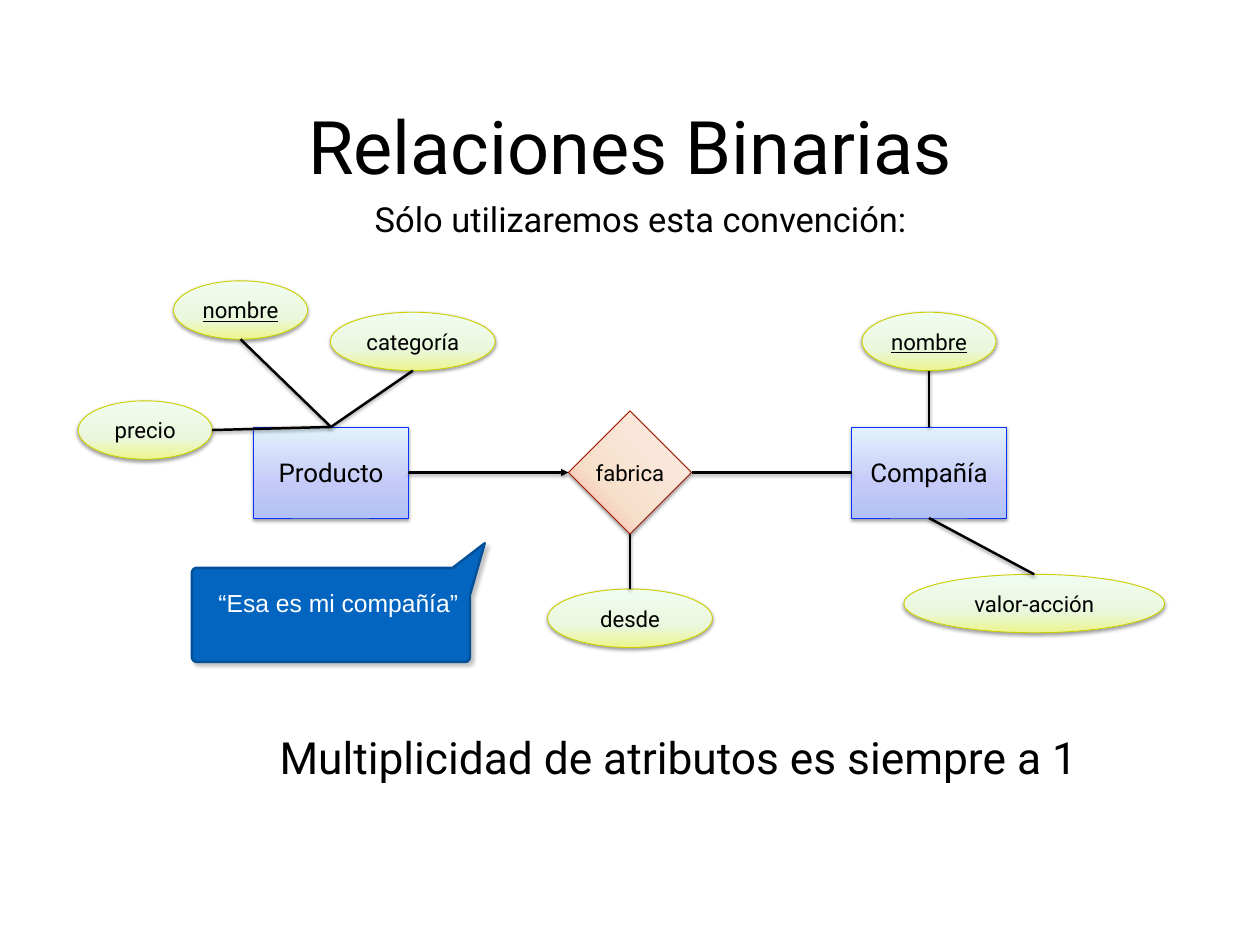
from dataclasses import dataclass
from math import cos, radians, sin

from lxml.etree import SubElement
from pptx import Presentation
from pptx.dml.color import RGBColor
from pptx.enum.shapes import MSO_CONNECTOR, MSO_SHAPE
from pptx.enum.text import MSO_ANCHOR, MSO_AUTO_SIZE, PP_ALIGN
from pptx.oxml.ns import qn
from pptx.util import Pt

TOP, LEFT, BOTTOM, RIGHT = range(4)


@dataclass(frozen=True)
class Style:
    """Gradient stops as (percent, colour), its angle, outline and text size."""
    stops: tuple
    angle: int
    line: str
    size: int


@dataclass(frozen=True)
class Theme:
    font: str = "Roboto"
    callout_font: str = "Arial"
    ink: str = "000000"
    callout_ink: str = "FFFFFF"
    callout_fill: str = "0365C0"
    callout_line: str = "025099"
    title: int = 60
    subtitle: int = 28
    footer: int = 36
    callout: int = 20
    thin: float = 0.75
    thick: float = 2
    # opacity %, blur, distance, direction
    shadow: tuple = (38, 3, 1.6, 90)
    callout_shadow: tuple = (24, 3, 3.3, 44)
    entity: Style = Style(((0, "B2C2F5"), (36, "C4C9F7"), (100, "E1F2FC")), 90, "0433FF", 21)
    relation: Style = Style(((0, "F5A09A"), (35, "F7E0CB"), (100, "FFEBE7")), 45, "A01D04", 18)
    attribute: Style = Style(((0, "ECF58E"), (36, "EAF7DC"), (100, "F1FCF1")), 90, "CCCF00", 18)


THEME = Theme()


def rgb(color):
    return RGBColor.from_string(color)


def write(s, text, size, font=THEME.font, color=THEME.ink, inset=0, underline=None, wrap=True):
    tf = s.text_frame
    tf.word_wrap = wrap
    tf.vertical_anchor = MSO_ANCHOR.MIDDLE
    tf.margin_left = tf.margin_right = tf.margin_top = tf.margin_bottom = Pt(inset)
    p = tf.paragraphs[0]
    p.text = text
    p.alignment = PP_ALIGN.CENTER
    p.font.name = font
    p.font.size = Pt(size)
    p.font.color.rgb = rgb(color)
    p.font.underline = underline


def set_line(s, color, width):
    s.line.color.rgb = rgb(color)
    s.line.width = Pt(width)


def add_shadow(s, shadow=THEME.shadow):
    """Append the effect list; call it after fill and line are set."""
    alpha, blur, dist, angle = shadow
    effects = SubElement(s._element.spPr, qn("a:effectLst"))
    outer = SubElement(effects, qn("a:outerShdw"), blurRad=str(Pt(blur)), dist=str(Pt(dist)),
                       dir=str(angle * 60000), rotWithShape="0")
    color = SubElement(outer, qn("a:srgbClr"), val=THEME.ink)
    SubElement(color, qn("a:alpha"), val=str(alpha * 1000))


def set_gradient(s, stops, angle):
    s.fill.gradient()
    s.fill.gradient_angle = angle
    stop_list = s._element.spPr.find(qn("a:gradFill")).find(qn("a:gsLst"))
    for old in list(stop_list):
        stop_list.remove(old)
    for percent, color in stops:
        stop = SubElement(stop_list, qn("a:gs"), pos=str(percent * 1000))
        SubElement(stop, qn("a:srgbClr"), val=color)


def add_node(slide, kind, style, text, cx, cy, width, height, key=None):
    """Add a one-line diagram node centred on (cx, cy); key underlines its text."""
    s = slide.shapes.add_shape(kind, Pt(cx - width / 2), Pt(cy - height / 2),
                               Pt(width), Pt(height))
    set_gradient(s, style.stops, style.angle)
    set_line(s, style.line, THEME.thin)
    add_shadow(s)
    write(s, text, style.size, underline=key, wrap=False)
    return s


def add_link(slide, node, side, x, y, arrow=False, target=None):
    """Draw a line from a side of node to (x, y), or to the left of target."""
    s = slide.shapes.add_connector(MSO_CONNECTOR.STRAIGHT, Pt(x), Pt(y), Pt(x), Pt(y))
    s.begin_connect(node, side)
    if target is not None:
        s.end_connect(target, LEFT)
    set_line(s, THEME.ink, THEME.thick)
    if arrow:
        SubElement(s.line._get_or_add_ln(), qn("a:tailEnd"), type="triangle")
    add_shadow(s)


def add_attribute(slide, owner, side, text, cx, cy, width, end=TOP, key=None):
    """Add an attribute whose own side `end` is linked to a side of its owner."""
    height = 47.5
    dx, dy = {TOP: (0, -0.5), BOTTOM: (0, 0.5), RIGHT: (0.5, 0)}[end]
    add_node(slide, MSO_SHAPE.OVAL, THEME.attribute, text, cx, cy, width, height, key)
    add_link(slide, owner, side, cx + dx * width, cy + dy * height)


def draw_diagram(slide, left, top, width, height):
    cx, cy = left + width / 2, top + height / 2
    reach, entity_size = 243, (125.5, 74)
    producto, compania = [
        add_node(slide, MSO_SHAPE.RECTANGLE, THEME.entity, text, cx + dx, cy, *entity_size)
        for text, dx in (("Producto", -reach), ("Compañía", reach))]
    fabrica = add_node(slide, MSO_SHAPE.DIAMOND, THEME.relation, "fabrica", cx, cy, 100, 100)
    add_link(slide, producto, RIGHT, cx, cy, arrow=True, target=fabrica)
    add_link(slide, fabrica, RIGHT, cx, cy, target=compania)

    short, medium, long = 109, 134, 212
    for owner, side, text, dx, dy, size, end, key in (
            (producto, TOP, "nombre", -316.5, -132, short, BOTTOM, True),
            (producto, TOP, "precio", -394, -34.5, short, RIGHT, None),
            (producto, TOP, "categoría", -176.5, -106.5, medium, BOTTOM, None),
            (compania, TOP, "nombre", reach, -106.5, short, BOTTOM, True),
            (compania, BOTTOM, "valor-acción", 328.5, 106.5, long, TOP, None),
            (fabrica, BOTTOM, "desde", 0, 118.5, medium, TOP, None)):
        add_attribute(slide, owner, side, text, cx + dx, cy + dy, size, end, key)


def draw_callout(slide, left, top, width, height):
    """Draw a rounded speech box whose pointer ends at the box's top right."""
    radius, steps = 4, 4
    right, bottom, body_top = left + width - 12, top + height, top + 20

    def corner(x, y, start):
        angles = [radians(start - 90 * i / steps) for i in range(steps + 1)]
        return [(x + radius * cos(a), y + radius * sin(a)) for a in angles]

    outline = [(left + width, top), (right - 14, body_top)]
    outline += corner(left + radius, body_top + radius, 270)
    outline += corner(left + radius, bottom - radius, 180)
    outline += corner(right - radius, bottom - radius, 90)
    outline.append((right, body_top + 22))
    points = [(Pt(x), Pt(y)) for x, y in outline]
    builder = slide.shapes.build_freeform(*points[0])
    builder.add_line_segments(points[1:], close=True)
    s = builder.convert_to_shape()
    s.fill.solid()
    s.fill.fore_color.rgb = rgb(THEME.callout_fill)
    set_line(s, THEME.callout_line, THEME.thick)
    add_shadow(s, THEME.callout_shadow)
    write(s, "“Esa es mi compañía”", THEME.callout, THEME.callout_font, THEME.callout_ink)


def draw_heading(slide, text, size, left, top, width, height):
    s = slide.shapes.add_textbox(Pt(left), Pt(top), Pt(width), Pt(height))
    write(s, text, size, inset=4.3)
    s.text_frame.auto_size = MSO_AUTO_SIZE.SHAPE_TO_FIT_TEXT


def main():
    prs = Presentation()
    prs.slide_width, prs.slide_height = Pt(1024), Pt(768)
    slide = prs.slides.add_slide(prs.slide_layouts[6])
    draw_heading(slide, "Relaciones Binarias", THEME.title, 154, 78.5, 716, 78.5)
    draw_heading(slide, "Sólo utilizaremos esta convención:", THEME.subtitle,
                 284.5, 157, 472, 41)
    draw_diagram(slide, 63, 228, 898, 312)
    draw_callout(slide, 156, 441.5, 238, 96.5)
    draw_heading(slide, "Multiplicidad de atributos es siempre a 1", THEME.footer,
                 96.5, 590.5, 910, 49.5)
    prs.save("out.pptx")


if __name__ == "__main__":
    main()
